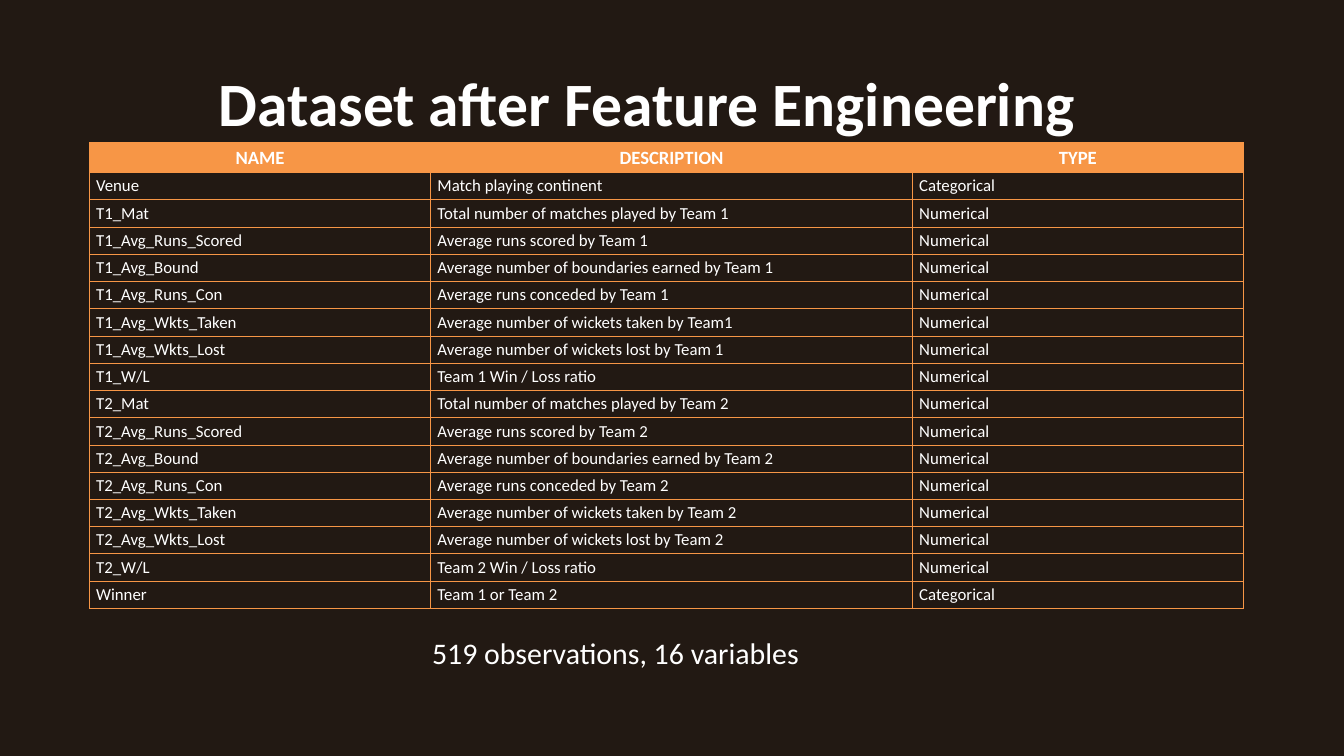
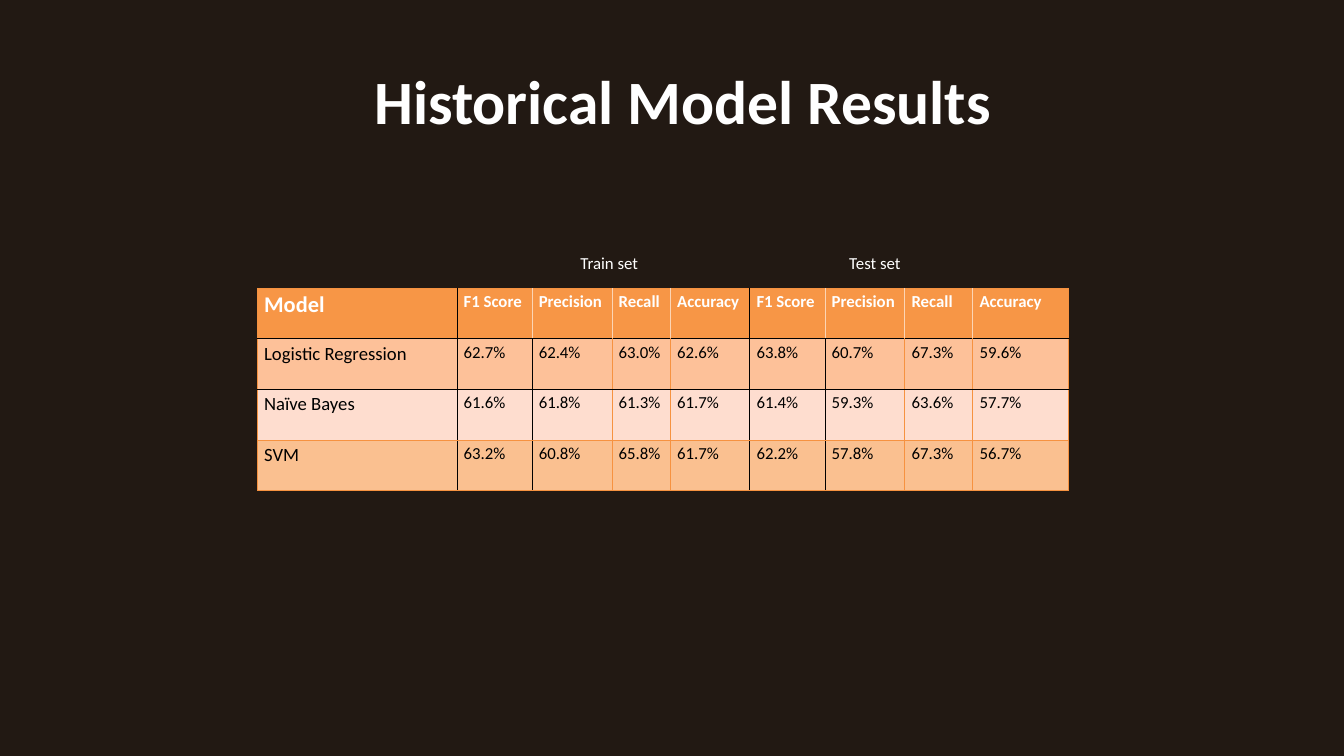
from dataclasses import dataclass

from lxml import etree
from pptx import Presentation
from pptx.dml.color import RGBColor
from pptx.enum.text import MSO_AUTO_SIZE, PP_ALIGN
from pptx.oxml.ns import qn
from pptx.util import Cm, Pt

LEFT, CENTER = PP_ALIGN.LEFT, PP_ALIGN.CENTER
GROW = MSO_AUTO_SIZE.SHAPE_TO_FIT_TEXT


@dataclass(frozen=True)
class Theme:
    font: str = "Calibri"
    background: str = "221913"
    white: str = "FFFFFF"
    black: str = "000000"
    orange: str = "F79646"
    edge: str = "F69240"
    pale: str = "FCD5B5"
    row_fills: tuple = ("FDC199", "FEDDCF", "FAC090")
    title: int = 66
    title_line: float = 121.1
    note: int = 32
    model_head: int = 24
    head: int = 20
    body: int = 18
    border: float = 1


theme = Theme()


def add_text(page, text, place, size, bold=False, align=LEFT, inset=None, line=None):
    """Add a white one-line text box; place is left, top, width, height in cm."""
    box = page.shapes.add_textbox(*[Cm(length) for length in place])
    frame = box.text_frame
    frame.word_wrap = True
    frame.auto_size = GROW
    if inset is not None:
        frame.margin_left = frame.margin_right = Cm(inset)
        frame.margin_top = frame.margin_bottom = Cm(inset)
    frame.text = text
    para = frame.paragraphs[0]
    para.alignment = align
    if line:
        para.line_spacing = Pt(line)
    font = para.runs[0].font
    font.name, font.size, font.bold = theme.font, Pt(size), bold
    font.color.rgb = RGBColor.from_string(theme.white)


def fill_cell(cell, text, size, color, borders, fill=None, bold=False, align=LEFT):
    """Write and format one cell; borders holds left, right, top, bottom colours."""
    cell.text = text
    para = cell.text_frame.paragraphs[0]
    para.alignment = align
    font = para.runs[0].font
    font.name, font.size, font.bold = theme.font, Pt(size), bold
    font.color.rgb = RGBColor.from_string(color)
    properties = cell._tc.get_or_add_tcPr()
    for side, border in zip("LRTB", borders):
        line = etree.SubElement(properties, qn(f"a:ln{side}"), w=str(Pt(theme.border)))
        solid = etree.SubElement(line, qn("a:solidFill"))
        etree.SubElement(solid, qn("a:srgbClr"), val=border)
    if fill:
        cell.fill.solid()
        cell.fill.fore_color.rgb = RGBColor.from_string(fill)
    else:
        cell.fill.background()


# Content
measures = [
    ("Mat", "Total number of matches played by Team {}"),
    ("Avg_Runs_Scored", "Average runs scored by Team {}"),
    ("Avg_Bound", "Average number of boundaries earned by Team {}"),
    ("Avg_Runs_Con", "Average runs conceded by Team {}"),
    ("Avg_Wkts_Taken", "Average number of wickets taken by Team {}"),
    ("Avg_Wkts_Lost", "Average number of wickets lost by Team {}"),
    ("W/L", "Team {} Win / Loss ratio"),
]
variables = [("NAME", "DESCRIPTION", "TYPE"),
             ("Venue", "Match playing continent", "Categorical")]
for team in (1, 2):
    for name, description in measures:
        variables.append((f"T{team}_{name}", description.format(team), "Numerical"))
variables.append(("Winner", "Team 1 or Team 2", "Categorical"))
variables[6] = ("T1_Avg_Wkts_Taken", "Average number of wickets taken by Team1", "Numerical")

scores = ["F1 Score", "Precision", "Recall", "Accuracy"]
results = [
    ["Model"] + scores * 2,
    ["Logistic Regression", "62.7%", "62.4%", "63.0%", "62.6%",
     "63.8%", "60.7%", "67.3%", "59.6%"],
    ["Naïve Bayes", "61.6%", "61.8%", "61.3%", "61.7%",
     "61.4%", "59.3%", "63.6%", "57.7%"],
    ["SVM", "63.2%", "60.8%", "65.8%", "61.7%",
     "62.2%", "57.8%", "67.3%", "56.7%"],
]

# Deck with two dark pages, each with a title and an empty table
deck = Presentation()
deck.slide_width, deck.slide_height = Cm(50.8), Cm(28.58)
layouts = [
    ("Dataset after Feature Engineering", (5.72, 0.86, 37.47, 4.11), None,
     variables, (3.38, 5.4), [12.9, 18.21, 12.5], [1.1] + [1.03] * 16),
    ("Historical Model Results", (2.74, 0.91, 46.15, 3.86), 0,
     results, (9.73, 10.9),
     [7.54, 2.84, 3.02, 2.21, 3, 2.84, 3.02, 2.57, 3.61], [1.91] * 4),
]
pages, tables = [], []
for title, title_place, inset, rows, corner, widths, heights in layouts:
    page = deck.slides.add_slide(deck.slide_layouts[6])
    page.background.fill.solid()
    page.background.fill.fore_color.rgb = RGBColor.from_string(theme.background)
    table = page.shapes.add_table(len(rows), len(widths), Cm(corner[0]), Cm(corner[1]),
                                  Cm(sum(widths)), Cm(sum(heights))).table
    table.first_row = table.horz_banding = False
    for column, width in zip(table.columns, widths):
        column.width = Cm(width)
    for row, height in zip(table.rows, heights):
        row.height = Cm(height)
    add_text(page, title, title_place, theme.title, True, CENTER, inset, theme.title_line)
    pages.append(page)
    tables.append(table)
dataset_page, results_page = pages
dataset_table, results_table = tables

# Dataset page: variable list and its size
for r, row in enumerate(variables):
    for c, text in enumerate(row):
        head = r == 0
        fill_cell(dataset_table.cell(r, c), text, theme.head if head else theme.body,
                  theme.white, [theme.orange] * 4, theme.orange if head else None,
                  head, CENTER if head else LEFT)
add_text(dataset_page, "519 observations, 16 variables", (16.08, 23.88, 20.75, 1.63), theme.note)

# Results page: edge colours by grid line, then the scores
head_edges = [theme.edge] + [theme.pale] * 8 + [theme.edge]
head_edges[1] = head_edges[5] = theme.black
body_edges = [theme.black if line in (1, 2, 5, 6) else theme.edge for line in range(10)]
level_edges = [theme.black if line in (1, 2) else theme.edge for line in range(5)]
fills = (theme.orange,) + theme.row_fills
for r, row in enumerate(results):
    head = r == 0
    edges = head_edges if head else body_edges
    for c, text in enumerate(row):
        size = theme.body
        if c == 0:
            size = theme.model_head if head else theme.head
        fill_cell(results_table.cell(r, c), text, size,
                  theme.white if head else theme.black,
                  edges[c:c + 2] + level_edges[r:r + 2], fills[r], head)

# Labels above the two score groups
for label, left in (("Train set", 21.69), ("Test set", 31.85)):
    add_text(results_page, label, (left, 9.42, 6.99, 1.02), theme.body)

deck.save("out.pptx")
